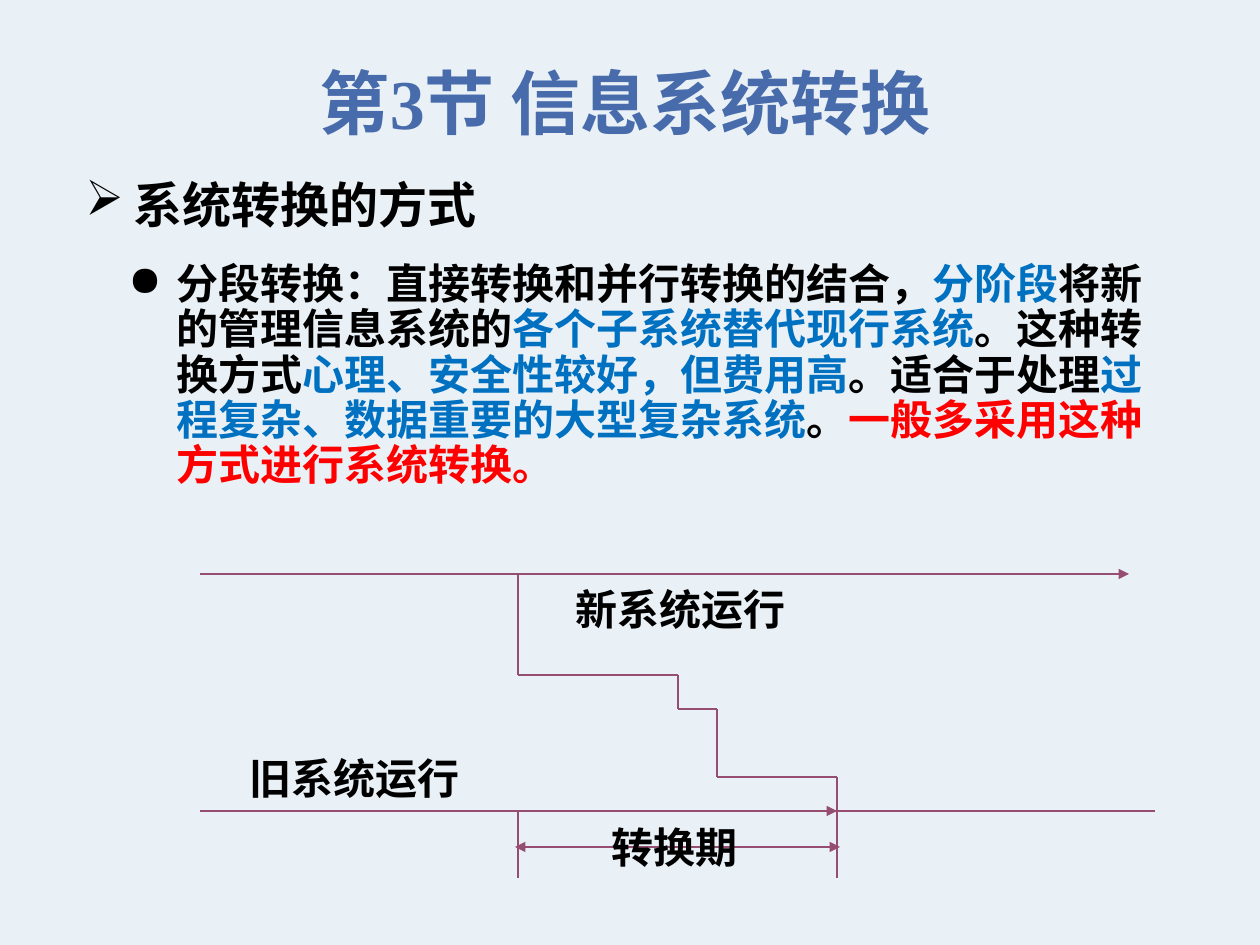
from itertools import pairwise

from lxml.etree import SubElement
from pptx import Presentation
from pptx.dml.color import RGBColor
from pptx.enum.shapes import MSO_CONNECTOR
from pptx.enum.text import PP_ALIGN
from pptx.oxml.ns import qn
from pptx.util import Pt

PX = 914400 // 126
FONT = "Times New Roman"
BACKGROUND = RGBColor(0xEA, 0xF1, 0xF6)
TITLE_BLUE = RGBColor(0x47, 0x6B, 0xAB)
BLACK = RGBColor(0, 0, 0)
BLUE = RGBColor(0x00, 0x70, 0xC0)
RED = RGBColor(0xFF, 0, 0)
PLUM = RGBColor(0x95, 0x4E, 0x72)


class SlideWriter:
    """Holds the style and the current slide, and draws its elements."""

    def __init__(self, deck):
        self.page = deck.slides.add_slide(deck.slide_layouts[6])
        fill = self.page.background.fill
        fill.solid()
        fill.fore_color.rgb = BACKGROUND

    def text(self, frame, spans, size, align=PP_ALIGN.LEFT, bullet=None, spacing=None):
        box = self.page.shapes.add_textbox(*(value * PX for value in frame))
        box.text_frame.word_wrap = True
        para = box.text_frame.paragraphs[0]
        para.alignment = align
        if spacing:
            para.line_spacing = spacing
        if bullet:
            self.bullet(para, bullet)
        for words, color in spans:
            span = para.add_run()
            span.text = words
            span.font.name = FONT
            span.font.size = Pt(size)
            span.font.bold = True
            span.font.color.rgb = color

    def bullet(self, para, mark):
        properties = para._p.get_or_add_pPr()
        properties.set("marL", str(48 * PX))
        properties.set("indent", str(-48 * PX))
        color = SubElement(properties, qn("a:buClr"))
        SubElement(color, qn("a:srgbClr"), val=str(BLACK))
        SubElement(properties, qn("a:buChar"), char=mark)

    def label(self, frame, words):
        self.text(frame, [(words, BLACK)], 24, PP_ALIGN.JUSTIFY)

    def line(self, start, end, width=0.75, heads=()):
        ends = (value * PX for value in (*start, *end))
        connector = self.page.shapes.add_connector(MSO_CONNECTOR.STRAIGHT, *ends)
        connector.line.color.rgb = PLUM
        connector.line.width = Pt(width)
        outline = connector.line._get_or_add_ln()
        for head in heads:
            SubElement(outline, qn(f"a:{head}"), type="triangle")
        SubElement(connector._element.spPr, qn("a:effectLst"))

    def arrow(self, start, end, heads=("tailEnd",)):
        self.line(start, end, 1.5, heads)

    def path_lines(self, points):
        for start, end in pairwise(points):
            self.line(start, end)


def main():
    deck = Presentation()
    deck.slide_width, deck.slide_height = 1260 * PX, 945 * PX
    writer = SlideWriter(deck)

    writer.text((116, 53, 1018, 97), [("第3节 信息系统转换", TITLE_BLUE)], 40, PP_ALIGN.CENTER)
    writer.text((73, 168, 564, 72), [("系统转换的方式", BLACK)], 28, bullet="➢")
    explanation = [
        ("分段转换：直接转换和并行转换的结合，", BLACK),
        ("分阶段", BLUE),
        ("将新的管理信息系统的", BLACK),
        ("各个子系统替代现行系统", BLUE),
        ("。这种转换方式", BLACK),
        ("心理、安全性较好，但费用高", BLUE),
        ("。适合于处理", BLACK),
        ("过程复杂、数据重要的大型复杂系统", BLUE),
        ("。", BLACK),
        ("一般多采用这种方式进行系统转换。", RED),
    ]
    writer.text((116, 257, 1051, 242), explanation, 24, bullet="●", spacing=0.9)

    left, start, finish = 200, 518, 837
    new_y, old_y, period_y, bottom = 574, 811, 847, 878
    writer.line((left, new_y), (1115, new_y))
    writer.line((left, old_y), (1155, old_y))
    writer.path_lines([
        (finish, old_y), (finish, 777), (717, 777), (717, 709),
        (678, 709), (678, 675), (start, 675), (start, new_y),
    ])
    writer.label((237, 746, 398, 50), "旧系统运行")
    writer.label((563, 577, 307, 50), "新系统运行")
    for x in (start, finish):
        writer.line((x, old_y), (x, bottom))
    writer.arrow((515, period_y), (840, period_y), ("headEnd", "tailEnd"))
    writer.label((599, 815, 156, 62), "转换期")
    writer.arrow((left, old_y), (finish, old_y))
    writer.arrow((start, new_y), (1129, new_y))
    deck.save("out.pptx")


if __name__ == "__main__":
    main()
